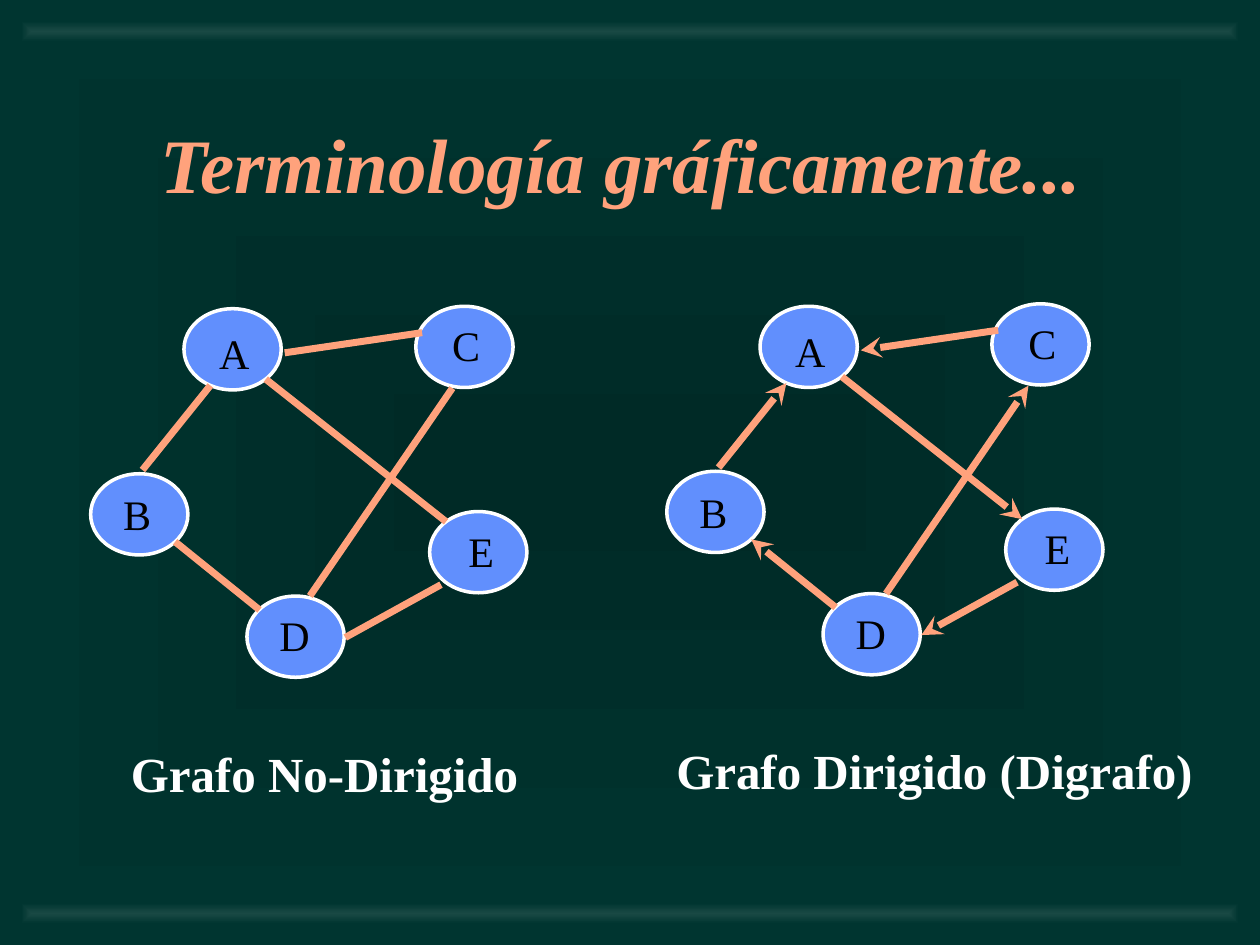
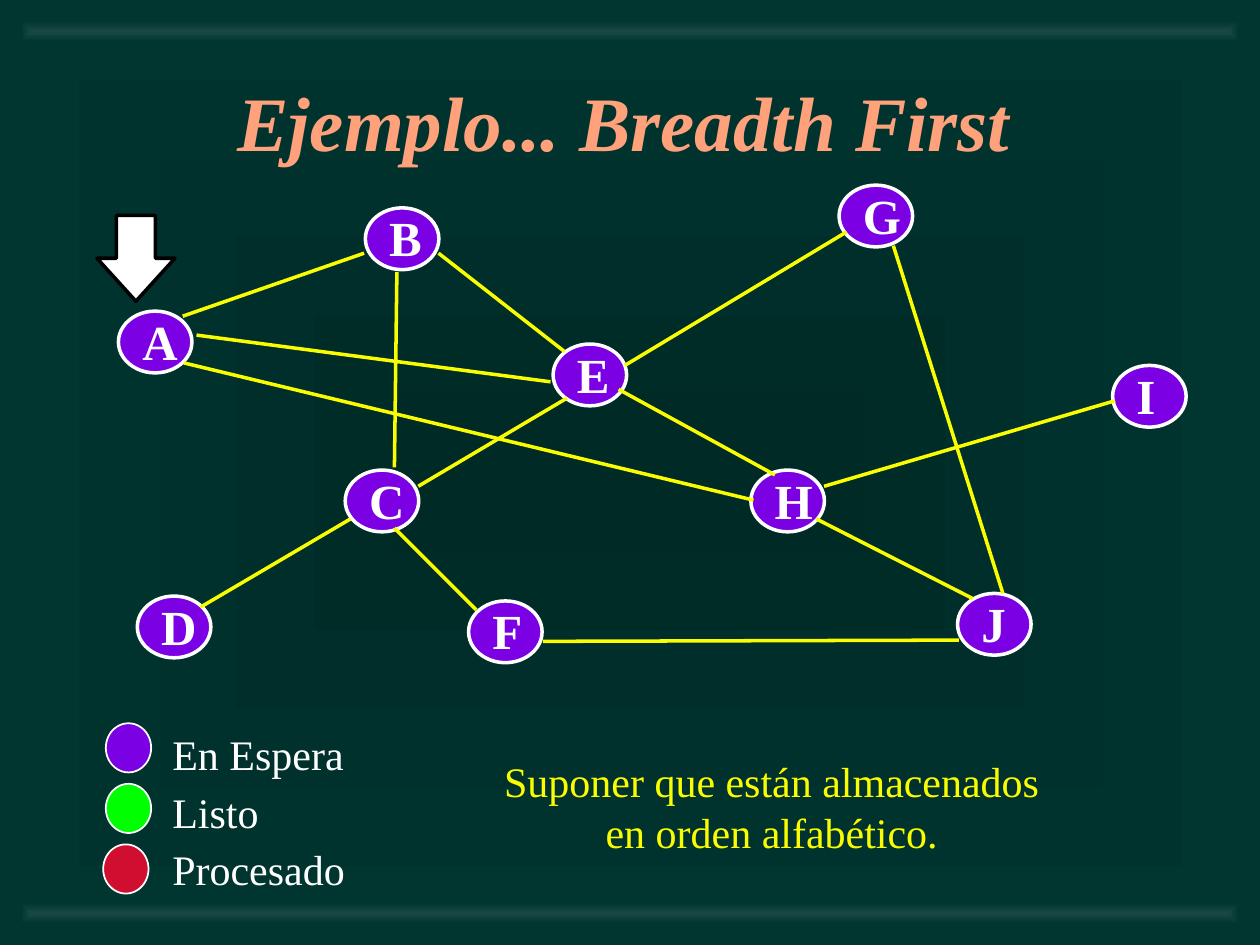
from lxml.etree import SubElement
from pptx import Presentation
from pptx.dml.color import RGBColor
from pptx.enum.shapes import MSO_CONNECTOR, MSO_SHAPE
from pptx.enum.text import MSO_ANCHOR, MSO_AUTO_SIZE, PP_ALIGN
from pptx.oxml.ns import qn
from pptx.util import Pt

COLORS = {
    "center": "002A26", "edge": "003530", "band": "194944",
    "salmon": "FFA27C", "blue": "618FFD", "violet": "7B00E4",
    "green": "00FF00", "red": "CF0E30", "yellow": "FAFD00",
    "white": "FFFFFF", "black": "000000",
}

GRAPH_NODES = {
    "A": (105.1, 176.4, 13, 7.2, 31.7),
    "B": (51.8, 270.7, 11.5, 5.1, 30.2),
    "D": (141.1, 340.6, 11.5, 4.3, 31.7),
    "E": (245.5, 292.3, 15.1, 4.3, 29.5),
    "C": (237.6, 175, 13.7, 4.3, 30.2),
}
GRAPH_EDGES = [
    (81.4, 268.6, 120.2, 220.3),
    (241.2, 190.1, 162.7, 201.6),
    (151.9, 216.7, 254.9, 298.1),
    (148.3, 348.5, 100.1, 309.6),
    (177.1, 340.6, 258.5, 221.8),
    (252, 334.1, 197.3, 364.3),
]
SEARCH_NODES = {
    "A": (67.7, 177.8, 34.6), "B": (208.8, 118.8, 33.1),
    "G": (479.5, 105.8, 36), "E": (316.1, 196.6, 33.1),
    "C": (197.3, 268.6, 34.6), "D": (78.5, 340.6, 34.6),
    "F": (267.8, 343.4, 31.7), "J": (547.2, 339.1, 28.8),
    "H": (429.1, 268.6, 36), "I": (635.8, 208.8, 25.2),
}
SEARCH_EDGES = [
    (112.3, 191.5, 314.6, 218.2),
    (105.1, 207.4, 430.6, 285.8),
    (466.6, 296.6, 555.8, 342),
    (353.5, 222.5, 442.8, 271.4),
    (470.9, 277.9, 637.2, 229),
    (573.1, 339.1, 510.5, 140.4),
    (357.1, 208.8, 483.8, 132.5),
    (250.6, 144.7, 322.6, 200.9),
    (226.8, 155.5, 225.4, 267.1),
    (114.5, 347, 200.2, 296.6),
    (272.2, 348.5, 225.4, 301.7),
    (310.3, 366.5, 547.9, 365.8),
    (239, 277.9, 324, 227.5),
    (104.4, 180.7, 208.1, 144.7),
]


def rgb(color):
    return RGBColor.from_string(COLORS[color])


class Deck:
    """Holds the deck's style and draws elements on its current slide."""

    font = "Times New Roman"

    def __init__(self):
        self.presentation = Presentation()
        self.presentation.slide_width = Pt(720)
        self.presentation.slide_height = Pt(540)
        self.slide = None

    def new_slide(self, title, left, top):
        blank = self.presentation.slide_layouts[6]
        self.slide = self.presentation.slides.add_slide(blank)
        self.glow(self.slide.background.fill, self.slide.element, "center")
        for band_top in (12, 516):
            band = self.shape(MSO_SHAPE.RECTANGLE, 12, band_top, 696, 12)
            self.glow(band.fill, band.element, "band")
        self.text(title, left, top, 667, 90, size=44, color="salmon", bold=True,
                  italic=True, align=PP_ALIGN.CENTER, wrap=True)

    def glow(self, fill, owner, inner):
        fill.gradient()
        for stop, color, position in zip(fill.gradient_stops, (inner, "edge"), (0, 1)):
            stop.color.rgb = rgb(color)
            stop.position = position
        gradient = owner.find(".//" + qn("a:gradFill"))
        gradient.remove(gradient.find(qn("a:lin")))
        shade = SubElement(gradient, qn("a:path"), {"path": "rect"})
        SubElement(shade, qn("a:fillToRect"), dict.fromkeys("ltrb", "50000"))

    def shape(self, preset, left, top, width, height, fill=None, line=None, weight=2):
        shape = self.slide.shapes.add_shape(preset, Pt(left), Pt(top), Pt(width), Pt(height))
        shape.shadow.inherit = False
        if fill:
            shape.fill.solid()
            shape.fill.fore_color.rgb = rgb(fill)
        if line:
            shape.line.color.rgb = rgb(line)
            shape.line.width = Pt(weight)
        else:
            shape.line.fill.background()
        return shape

    def ellipse(self, left, top, width, height, fill, weight=2):
        self.shape(MSO_SHAPE.OVAL, left, top, width, height, fill, "white", weight)

    def edge(self, x1, y1, x2, y2, color, weight, arrow=False):
        edge = self.slide.shapes.add_connector(
            MSO_CONNECTOR.STRAIGHT, Pt(x1), Pt(y1), Pt(x2), Pt(y2))
        edge.line.color.rgb = rgb(color)
        edge.line.width = Pt(weight)
        properties = edge.element.spPr
        if arrow:
            SubElement(properties.find(qn("a:ln")), qn("a:tailEnd"), {"type": "stealth"})
        SubElement(properties, qn("a:effectLst"))

    def text(self, text, left, top, width, height, size=24, color="white", bold=False,
             italic=False, align=PP_ALIGN.LEFT, spacing=None, wrap=False):
        box = self.slide.shapes.add_textbox(Pt(left), Pt(top), Pt(width), Pt(height))
        frame = box.text_frame
        frame.word_wrap = wrap
        frame.auto_size = MSO_AUTO_SIZE.NONE if wrap else MSO_AUTO_SIZE.SHAPE_TO_FIT_TEXT
        frame.vertical_anchor = MSO_ANCHOR.MIDDLE if wrap else MSO_ANCHOR.TOP
        frame.text = text
        for paragraph in frame.paragraphs:
            paragraph.alignment = align
            paragraph.line_spacing = spacing
            for run in paragraph.runs:
                run.font.name = self.font
                run.font.size = Pt(size)
                run.font.bold = bold
                run.font.italic = italic
                run.font.color.rgb = rgb(color)

    def graph(self, dx, dy, directed):
        for left, top, *_ in GRAPH_NODES.values():
            self.ellipse(left + dx, top + dy, 55.6, 46.4, "blue")
        for x1, y1, x2, y2 in GRAPH_EDGES:
            self.edge(x1 + dx, y1 + dy, x2 + dx, y2 + dy, "salmon", 4, directed)
        for name, (left, top, inset_x, inset_y, width) in GRAPH_NODES.items():
            self.text(name, left + dx + inset_x, top + dy + inset_y, width, 36,
                      color="black")


def terminology(deck):
    deck.new_slide("Terminología gráficamente...", 21.5, 48)
    deck.graph(0, 0, directed=False)
    deck.graph(329.2, -1.4, directed=True)
    deck.text("Grafo No-Dirigido", 67.7, 421.2, 236.2, 41, size=28, bold=True)
    deck.text("Grafo Dirigido (Digrafo)", 379.4, 419.8, 309.6, 41, size=28, bold=True)


def breadth_first(deck):
    deck.new_slide("Ejemplo... Breadth First", 23, 24)
    for name, (left, top, width) in SEARCH_NODES.items():
        deck.ellipse(left, top, 42, 35.3, "violet")
        deck.text(name, left + 6.5, top - 3.5, width, 41, size=28, bold=True)
    for ends in SEARCH_EDGES:
        deck.edge(*ends, "yellow", 2)
    states = (("violet", 60.5), ("green", 60.5), ("red", 59))
    for row, (color, left) in enumerate(states):
        deck.ellipse(left, 413.3 + row * 34.6, 25.9, 28.1, color, weight=1)
    deck.text("En Espera\nListo\nProcesado", 91.4, 408.2, 113, 106.6, spacing=1.15)
    start = deck.shape(MSO_SHAPE.DOWN_ARROW, 55.4, 123.1, 44.6, 49, "white", "black")
    start.adjustments[0] = 0.5
    start.adjustments[1] = 0.55
    deck.text("Suponer que están almacenados\nen orden alfabético.",
              280.8, 428.4, 320.4, 64.8, color="yellow", align=PP_ALIGN.CENTER)


def main():
    deck = Deck()
    terminology(deck)
    breadth_first(deck)
    deck.presentation.save("out.pptx")


if __name__ == "__main__":
    main()
